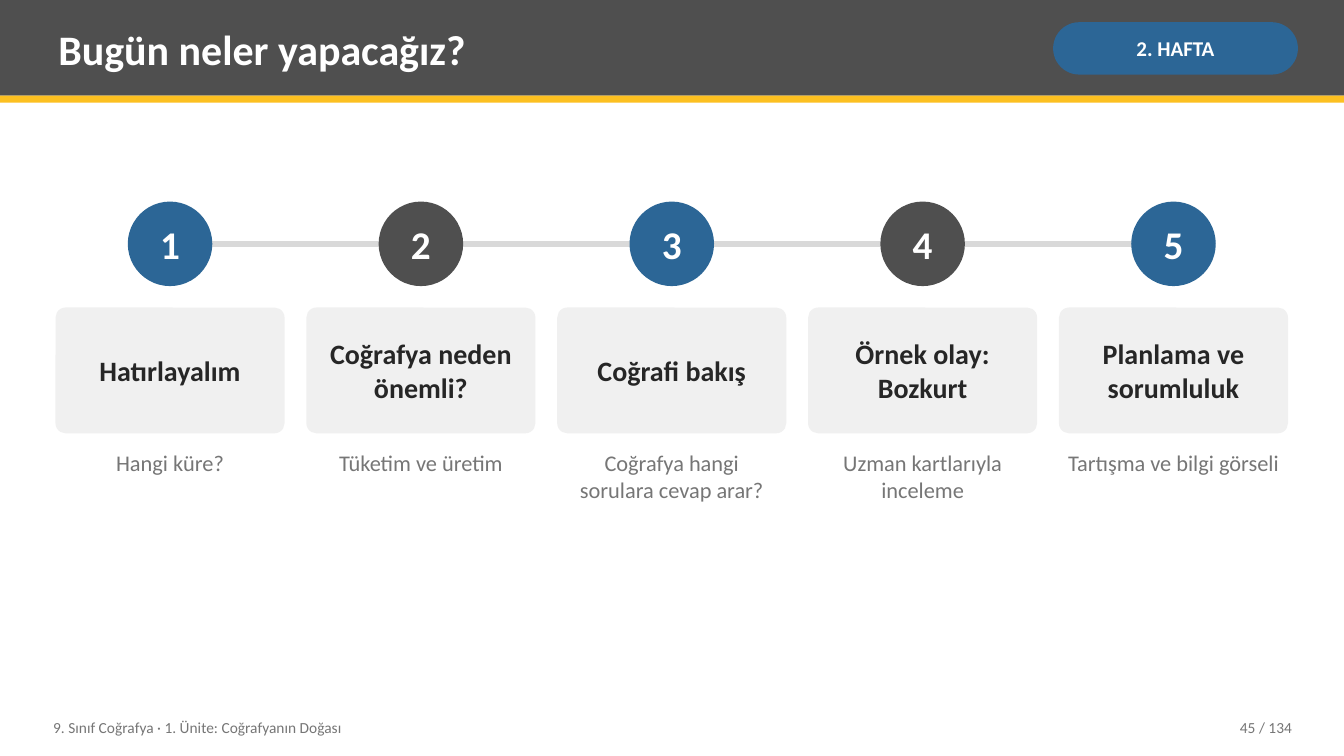
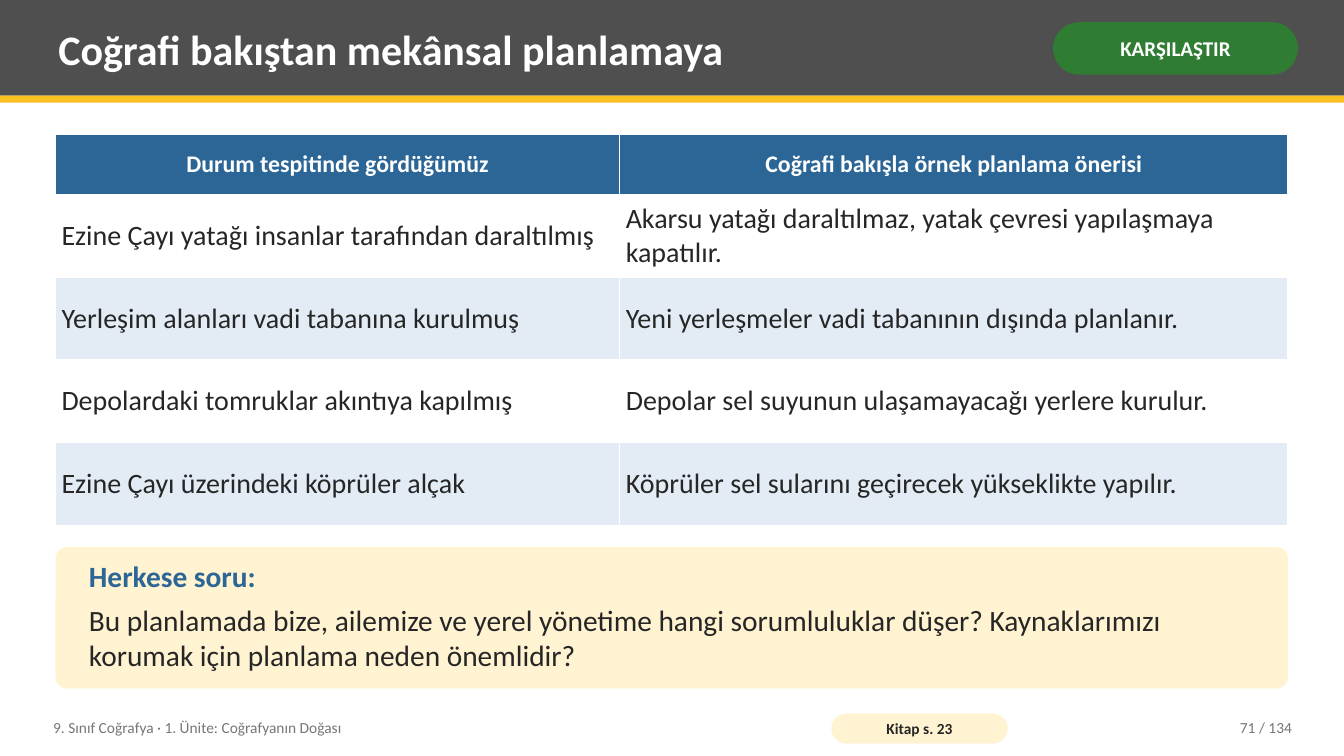
import pptx
import pptx.util
import pptx.dml.color
import pptx.enum.shapes
import pptx.enum.text
import pptx.oxml
import pptx.oxml.ns

Cm, Pt = pptx.util.Cm, pptx.util.Pt
SHAPE = pptx.enum.shapes.MSO_SHAPE
ANCHOR = pptx.enum.text.MSO_ANCHOR
ALIGN = pptx.enum.text.PP_ALIGN

FONT = "Calibri"
WHITE, INK, MUTED = "FFFFFF", "262626", "767676"
CHARCOAL, BLUE, GREEN, YELLOW = "4F4F4F", "2C6696", "2E7D32", "FCC021"
PALE_GREY, PALE_BLUE, CREAM, RULE = "F0F0F0", "E3ECF5", "FFF3D1", "D9D9D9"

SLIDE_W, SLIDE_H = 33.87, 19.05
LEFT, CONTENT_W = 1.4, 31.06
TEXT_INSETS = (0.2, 0.1)
COURSE = "9. Sınıf Coğrafya · 1. Ünite: Coğrafyanın Doğası"
PAGE_COUNT = 134

STEPS = [
    ("Hatırlayalım", "Hangi küre?"),
    ("Coğrafya neden önemli?", "Tüketim ve üretim"),
    ("Coğrafi bakış", "Coğrafya hangi sorulara cevap arar?"),
    ("Örnek olay: Bozkurt", "Uzman kartlarıyla inceleme"),
    ("Planlama ve sorumluluk", "Tartışma ve bilgi görseli"),
]
PLAN_ROWS = [
    ("Durum tespitinde gördüğümüz", "Coğrafi bakışla örnek planlama önerisi"),
    ("Ezine Çayı yatağı insanlar tarafından daraltılmış",
     "Akarsu yatağı daraltılmaz, yatak çevresi yapılaşmaya kapatılır."),
    ("Yerleşim alanları vadi tabanına kurulmuş",
     "Yeni yerleşmeler vadi tabanının dışında planlanır."),
    ("Depolardaki tomruklar akıntıya kapılmış",
     "Depolar sel suyunun ulaşamayacağı yerlere kurulur."),
    ("Ezine Çayı üzerindeki köprüler alçak",
     "Köprüler sel sularını geçirecek yükseklikte yapılır."),
]
QUESTION = ("Bu planlamada bize, ailemize ve yerel yönetime hangi sorumluluklar düşer? "
            "Kaynaklarımızı korumak için planlama neden önemlidir?")


def rgb(value):
    """Turn a hex string into a colour."""
    return pptx.dml.color.RGBColor.from_string(value)


def paint(fill, color):
    """Give a fill one solid colour."""
    fill.solid()
    fill.fore_color.rgb = rgb(color)


def style(p, size, color, bold=False, align=ALIGN.LEFT):
    """Set the font and alignment of a paragraph."""
    p.alignment = align
    p.font.name, p.font.size, p.font.bold = FONT, Pt(size), bold
    p.font.color.rgb = rgb(color)


def set_insets(holder, insets):
    """Set the side and top margins of a text frame or cell."""
    side, top = map(Cm, insets)
    holder.margin_left = holder.margin_right = side
    holder.margin_top = holder.margin_bottom = top


def write(sp, text, size, color, bold=False, align=ALIGN.LEFT,
          anchor=ANCHOR.MIDDLE, insets=TEXT_INSETS, wrap=True):
    """Put one styled paragraph in a shape and return its text frame."""
    tf = sp.text_frame
    tf.word_wrap, tf.vertical_anchor = wrap, anchor
    set_insets(tf, insets)
    tf.paragraphs[0].text = text
    style(tf.paragraphs[0], size, color, bold, align)
    return tf


def add_box(slide, kind, box, color, radius=None):
    """Add a filled shape without outline or shadow."""
    sp = slide.shapes.add_shape(kind, *map(Cm, box))
    sp.shadow.inherit = False
    paint(sp.fill, color)
    sp.line.fill.background()
    if radius is not None:
        sp.adjustments[0] = radius
    return sp


def add_label(slide, box, text, size, color, **options):
    """Add a text box with one paragraph."""
    return write(slide.shapes.add_textbox(*map(Cm, box)), text, size, color, **options)


def add_pill(slide, box, fill, text, size, color, insets):
    """Add a fully rounded tag with bold centred text."""
    sp = add_box(slide, SHAPE.ROUNDED_RECTANGLE, box, fill, 0.5)
    write(sp, text, size, color, True, ALIGN.CENTER, insets=insets)


def add_header(slide, box, title, tag, tag_color):
    """Add the title band, its stripe and the tag."""
    x, y, w, h = box
    add_box(slide, SHAPE.RECTANGLE, box, CHARCOAL)
    add_box(slide, SHAPE.RECTANGLE, (x, y + h, w, 0.18), YELLOW)
    add_label(slide, (x + 1.27, y + 0.18, 24.77, 2.08), title, 30, WHITE, bold=True)
    add_pill(slide, (x + w - 7.33, y + 0.56, 6.17, 1.32), tag_color, tag, 15, WHITE, (0.13, 0.05))


def add_footer(slide, box, page, source=None):
    """Add the course name, the page number and an optional book reference."""
    x, y, w, h = box
    add_label(slide, (x, y, 19.3, h), COURSE, 11, MUTED)
    if source:
        add_pill(slide, (x + 19.81, y + 0.1, 4.45, 0.76), CREAM, source, 11, INK, (0.1, 0))
    add_label(slide, (x + w - 4.06, y, 4.06, h), f"{page} / {PAGE_COUNT}", 11, MUTED,
              align=ALIGN.RIGHT)


def add_base(prs, title, tag, tag_color, page, source=None):
    """Add a blank slide with header and footer."""
    slide = prs.slides.add_slide(prs.slide_layouts[6])
    add_header(slide, (0, 0, SLIDE_W, 2.41), title, tag, tag_color)
    add_footer(slide, (1.14, 17.88, 31.62, 0.91), page, source)
    return slide


def add_rule(slide, x1, x2, y):
    """Add a horizontal grey line."""
    cn = slide.shapes.add_connector(pptx.enum.shapes.MSO_CONNECTOR.STRAIGHT,
                                    Cm(x1), Cm(y), Cm(x2), Cm(y))
    cn.line.color.rgb, cn.line.width = rgb(RULE), Pt(4)
    cn._element.spPr.append(pptx.oxml.parse_xml(
        f"<a:effectLst {pptx.oxml.ns.nsdecls('a')}/>"))


def add_step(slide, box, number, title, note, diameter):
    """Add a numbered circle, its card and the note below."""
    x, y, w, h = box
    circle = add_box(slide, SHAPE.OVAL, (x + (w - diameter) / 2, y, diameter, diameter),
                     BLUE if number % 2 else CHARCOAL)
    write(circle, str(number), 28, WHITE, True, ALIGN.CENTER, insets=(0, 0), wrap=False)
    card = add_box(slide, SHAPE.ROUNDED_RECTANGLE, (x, y + 2.67, w, 3.17), PALE_GREY, 0.08)
    write(card, title, 20, INK, True, ALIGN.CENTER, insets=(0.2, 0.2))
    add_label(slide, (x, y + 6.15, w, h - 6.15), note, 16, MUTED,
              align=ALIGN.CENTER, anchor=ANCHOR.TOP)


def add_timeline(slide, box, steps, gap=0.55, diameter=2.13):
    """Spread the steps evenly over a box, joined by a line."""
    x, y, w, h = box
    step_w = (w - gap * (len(steps) - 1)) / len(steps)
    add_rule(slide, x + step_w / 2, x + w - step_w / 2, y + diameter / 2)
    for i, (title, note) in enumerate(steps):
        add_step(slide, (x + i * (step_w + gap), y, step_w, h), i + 1, title, note, diameter)


def add_borders(cell):
    """Draw thin white lines on all sides of a cell."""
    tcPr = cell._tc.get_or_add_tcPr()
    for i, side in enumerate(("lnL", "lnR", "lnT", "lnB")):
        tcPr.insert(i, pptx.oxml.parse_xml(
            f'<a:{side} {pptx.oxml.ns.nsdecls("a")} w="{Pt(0.96)}"><a:solidFill>'
            f'<a:srgbClr val="{WHITE}"/></a:solidFill></a:{side}>'))


def add_plan_table(slide, box, rows, head_h=1.52, first_w=14.22):
    """Add the two-column comparison table."""
    x, y, w, h = box
    table = slide.shapes.add_table(len(rows), 2, *map(Cm, box)).table
    table.horz_banding = False
    for column, width in zip(table.columns, (first_w, w - first_w)):
        column.width = Cm(width)
    for i, texts in enumerate(rows):
        head = i == 0
        table.rows[i].height = Cm(head_h if head else (h - head_h) / (len(rows) - 1))
        fill = BLUE if head else (WHITE if i % 2 else PALE_BLUE)
        for cell, text in zip(table.rows[i].cells, texts):
            cell.text = text
            cell.vertical_anchor = ANCHOR.MIDDLE
            set_insets(cell, (0.15, 0.13))
            paint(cell.fill, fill)
            add_borders(cell)
            p = cell.text_frame.paragraphs[0]
            if head:
                style(p, 17, WHITE, True, ALIGN.CENTER)
            else:
                style(p, 20, INK)


def add_question(slide, box, heading, text):
    """Add the cream panel with a heading and a question."""
    sp = add_box(slide, SHAPE.ROUNDED_RECTANGLE, box, CREAM, 0.08)
    tf = write(sp, heading, 21, BLUE, True, anchor=ANCHOR.TOP, insets=(0.76, 0.2))
    tf.paragraphs[0].space_after = Pt(6)
    p = tf.add_paragraph()
    p.text = text
    style(p, 21, INK)


def build_agenda(prs):
    """Build the slide with the five steps of the lesson."""
    slide = add_base(prs, "Bugün neler yapacağız?", "2. HAFTA", BLUE, 45)
    add_timeline(slide, (LEFT, 5.08, CONTENT_W, 10.98), STEPS)


def build_comparison(prs):
    """Build the slide that compares findings and plans."""
    slide = add_base(prs, "Coğrafi bakıştan mekânsal planlamaya", "KARŞILAŞTIR", GREEN,
                     71, "Kitap s. 23")
    add_plan_table(slide, (LEFT, 3.38, CONTENT_W, 9.86), PLAN_ROWS)
    add_question(slide, (LEFT, 13.79, CONTENT_W, 3.56), "Herkese soru:", QUESTION)


def main():
    """Build and save the presentation."""
    prs = pptx.Presentation()
    prs.slide_width, prs.slide_height = Cm(SLIDE_W), Cm(SLIDE_H)
    build_agenda(prs)
    build_comparison(prs)
    prs.save("out.pptx")


if __name__ == "__main__":
    main()
